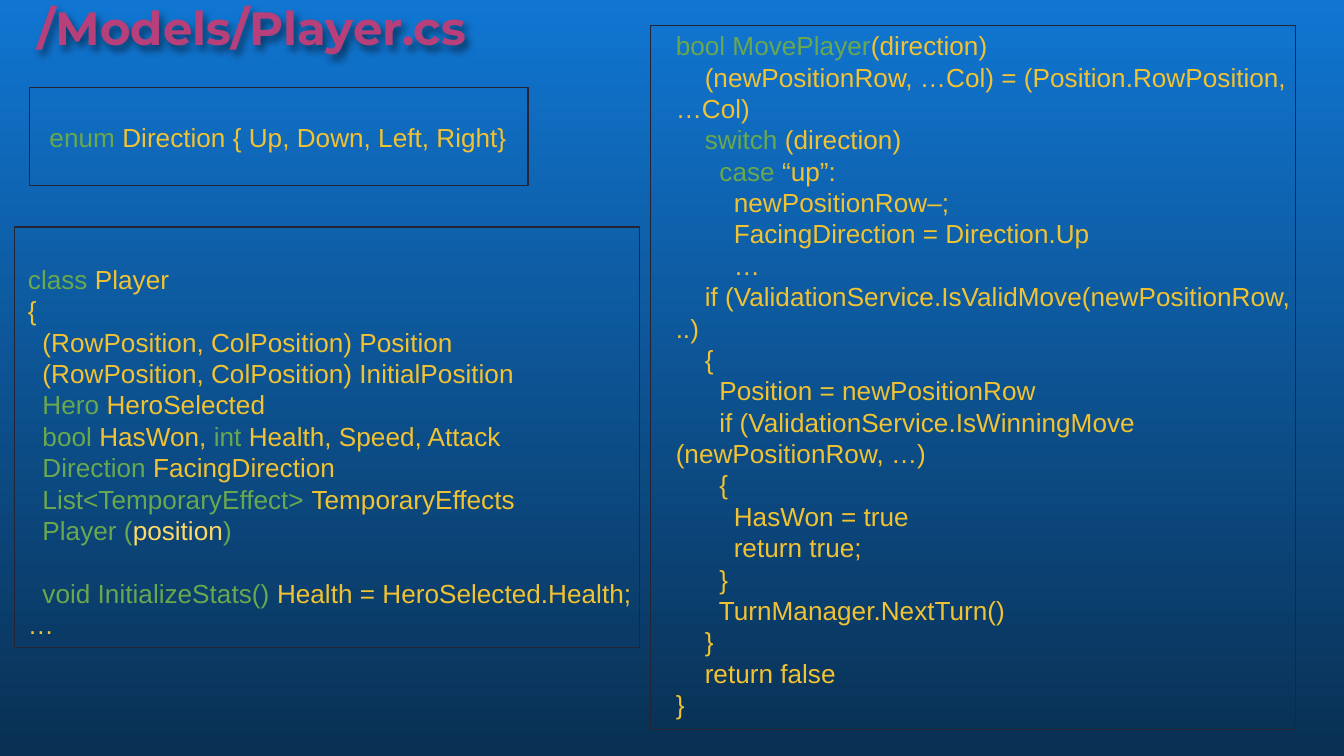
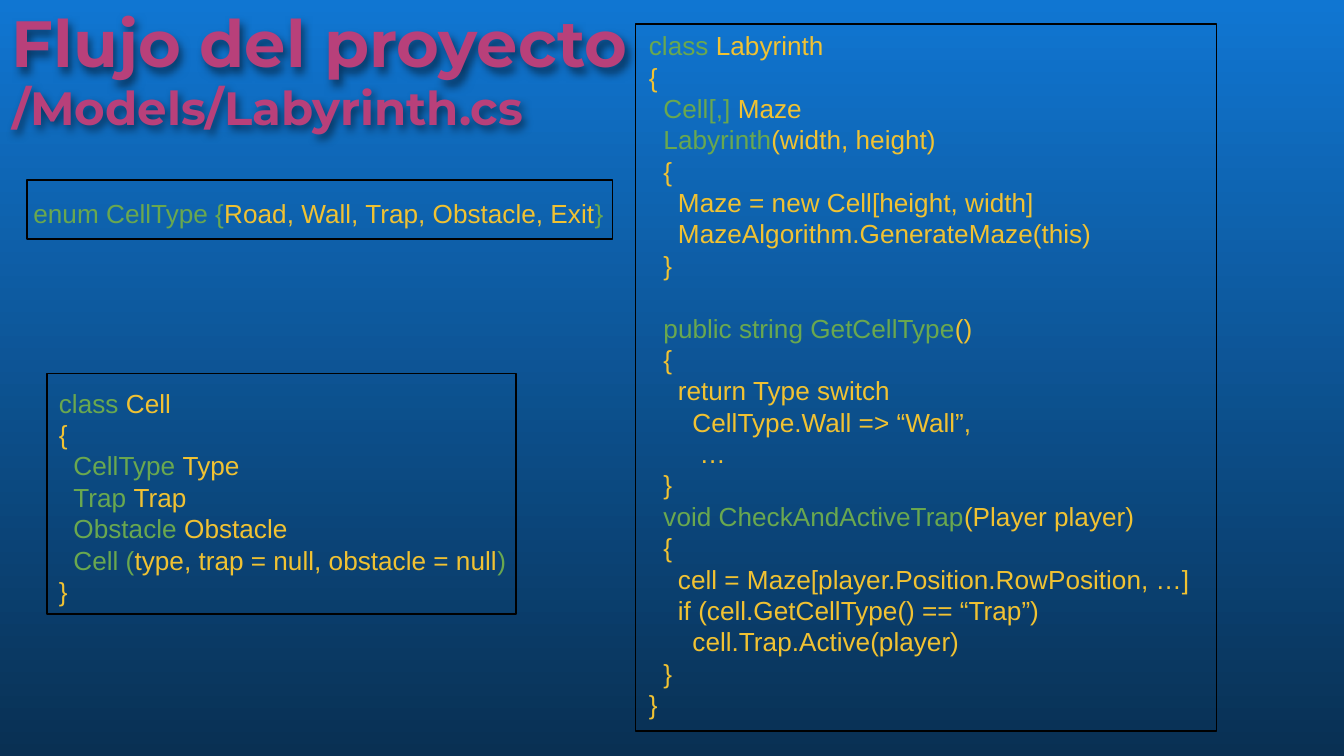
"""Build two slides that outline the Player and Labyrinth model classes."""
from copy import deepcopy

from lxml import etree
from pptx import Presentation
from pptx.dml.color import RGBColor
from pptx.enum.shapes import MSO_SHAPE
from pptx.enum.text import MSO_ANCHOR, MSO_AUTO_SIZE, PP_ALIGN
from pptx.oxml.ns import qn
from pptx.util import Inches, Pt

RECT = MSO_SHAPE.RECTANGLE
BOTTOM, TOP = MSO_ANCHOR.BOTTOM, MSO_ANCHOR.TOP
LEFT, CENTER = PP_ALIGN.LEFT, PP_ALIGN.CENTER
GROW = MSO_AUTO_SIZE.SHAPE_TO_FIT_TEXT

THEME = {
    "sky": RGBColor.from_string("1076D2"),
    "deep": RGBColor.from_string("093053"),
    "title": RGBColor.from_string("B8407A"),
    "keyword": RGBColor.from_string("6AA84F"),
    "code": RGBColor.from_string("F1C232"),
    "pale": RGBColor.from_string("FFD966"),
    "title_font": "Montserrat",
    "code_font": "Arial",
    "heading": Pt(35),
    "file": Pt(25),
    "body": Pt(14),
    "blank_line": Pt(16.8),
    "border": Pt(0.75),
}

SLIDES = [
    {
        "border": "262335",
        "titles": [("/Models/Player.cs", "file", LEFT, (0.18, -0.66, 4.65, 1.17))],
        "frames": [
            (0.22, 0.65, 3.71, 0.73),
            (0.11, 1.69, 4.65, 3.13),
            (4.84, 0.19, 4.8, 5.24),
        ],
        "code": [
            ((0.27, 0.8, 3.87, 0.44), "~enum ~Direction { Up, Down, Left, Right}"),
            ((0.11, 1.86, 4.8, 3.03), """~class ~Player
{
  (RowPosition, ColPosition) Position
  (RowPosition, ColPosition) InitialPosition
  ~Hero ~HeroSelected
  ~bool~ HasWon, ~int~ Health, Speed, Attack
  ~Direction ~FacingDirection
  ~List<TemporaryEffect> ~TemporaryEffects
  ~Player (~^position~)

  ~void InitializeStats() ~Health = HeroSelected.Health; …"""),
            ((4.93, 0.12, 4.8, 5.39), """~bool MovePlayer~(direction)
    (newPositionRow, …Col) = (Position.RowPosition, …Col)
    ~switch~ (direction)
      ~case~ “up”:
        newPositionRow–;
        FacingDirection = Direction.Up
        …
    if (ValidationService.IsValidMove(newPositionRow, ..)
    {
      Position = newPositionRow
      if (ValidationService.IsWinningMove (newPositionRow, …)
      {
        HasWon = true
        return true;
      }
      TurnManager.NextTurn()
    }
    return false
}"""),
        ],
    },
    {
        "border": "000000",
        "titles": [
            ("Flujo del proyecto", "heading", CENTER, (-0.56, -0.64, 5.88, 1.34)),
            ("/Models/Labyrinth.cs", "file", LEFT, (-0.01, -0.07, 4.65, 1.17)),
        ],
        "frames": [
            (0.2, 1.34, 4.36, 0.44),
            (0.35, 2.78, 3.49, 1.79),
            (4.73, 0.18, 4.32, 5.26),
        ],
        "code": [
            ((0.15, 1.37, 4.48, 0.44), "~enum CellType {~Road, Wall, Trap, Obstacle, Exit~}"),
            ((0.34, 2.78, 3.83, 1.85), """~class ~Cell
{
  ~CellType ~Type
  ~Trap ~Trap
  ~Obstacle ~Obstacle
  ~Cell (~type, trap = null, obstacle = null~)
}"""),
            ((4.73, 0.12, 4.59, 5.39), """~class ~Labyrinth
{
  ~Cell[,] ~Maze
  ~Labyrinth~(width, height)
  {
    Maze = new Cell[height, width]
    MazeAlgorithm.GenerateMaze(this)
  }

  ~public string GetCellType~()
  {
    return Type switch
      CellType.Wall => “Wall”,
       …
  }
  ~void CheckAndActiveTrap~(Player player)
  {
    cell = Maze[player.Position.RowPosition, …]
    if (cell.GetCellType() == “Trap”)
      cell.Trap.Active(player)
  }
}"""),
        ],
    },
]


def set_frame(tf, anchor, top):
    """Set wrapping, fit, anchor and margins of a text frame."""
    fmt = {"word_wrap": True, "auto_size": GROW, "vertical_anchor": anchor,
           "margin_top": Inches(top)}
    fmt.update({f"margin_{side}": Inches(0.1) for side in ("left", "right", "bottom")})
    for name, value in fmt.items():
        setattr(tf, name, value)


def add_run(p, text, font, size, color, bold=False):
    """Append a formatted run to a paragraph."""
    r = p.add_run()
    r.text = text
    for name, value in {"name": font, "size": size, "bold": bold}.items():
        setattr(r.font, name, value)
    r.font.color.rgb = color


prs = Presentation()
prs.slide_width, prs.slide_height = Inches(10), Inches(10) * 9 // 16

fill = prs.slide_master.background.fill
fill.gradient()
fill.gradient_angle = 270
for stop, color in zip(fill.gradient_stops, ("sky", "deep")):
    stop.color.rgb = THEME[color]

for page in SLIDES:
    s = prs.slides.add_slide(prs.slide_layouts[0])
    subtitle = s.placeholders[1]._element
    subtitle.getparent().remove(subtitle)
    title = s.shapes.title._element
    for n in range(1, len(page["titles"])):
        twin = deepcopy(title)
        twin.nvSpPr.cNvPr.set("id", str(10 + n))
        twin.nvSpPr.cNvPr.set("name", f"Title {1 + n}")
        title.addnext(twin)

    for sp, (text, size, align, box) in zip(list(s.shapes), page["titles"]):
        sp.left, sp.top, sp.width, sp.height = map(Inches, box)
        set_frame(sp.text_frame, BOTTOM, 0.64)
        p = sp.text_frame.paragraphs[0]
        p.alignment = align
        add_run(p, text, THEME["title_font"], THEME[size], THEME["title"], True)
        effects = etree.SubElement(sp._element.spPr, qn("a:effectLst"))
        shadow = etree.SubElement(effects, qn("a:outerShdw"), blurRad="57150",
                                  dist="38100", dir="3600000", algn="bl", rotWithShape="0")
        black = etree.SubElement(shadow, qn("a:srgbClr"), val="000000")
        etree.SubElement(black, qn("a:alpha"), val="50000")

    for box, code in page["code"]:
        tf = s.shapes.add_textbox(*map(Inches, box)).text_frame
        set_frame(tf, TOP, 0.1)
        p, gap = tf.paragraphs[0], False
        for n, line in enumerate(code.split("\n")):
            if not line:
                gap = True
                continue
            if n:
                p = tf.add_paragraph()
            if gap:
                p.space_before, gap = THEME["blank_line"], False
            for i, piece in enumerate(line.split("~")):
                color = "pale" if piece.startswith("^") else ("code", "keyword")[i % 2]
                if piece:
                    add_run(p, piece.lstrip("^"), THEME["code_font"], THEME["body"], THEME[color])

    for box in page["frames"]:
        sp = s.shapes.add_shape(RECT, *map(Inches, box))
        sp.shadow.inherit = False
        sp.fill.background()
        sp.line.color.rgb = RGBColor.from_string(page["border"])
        sp.line.width = THEME["border"]

prs.save("out.pptx")
